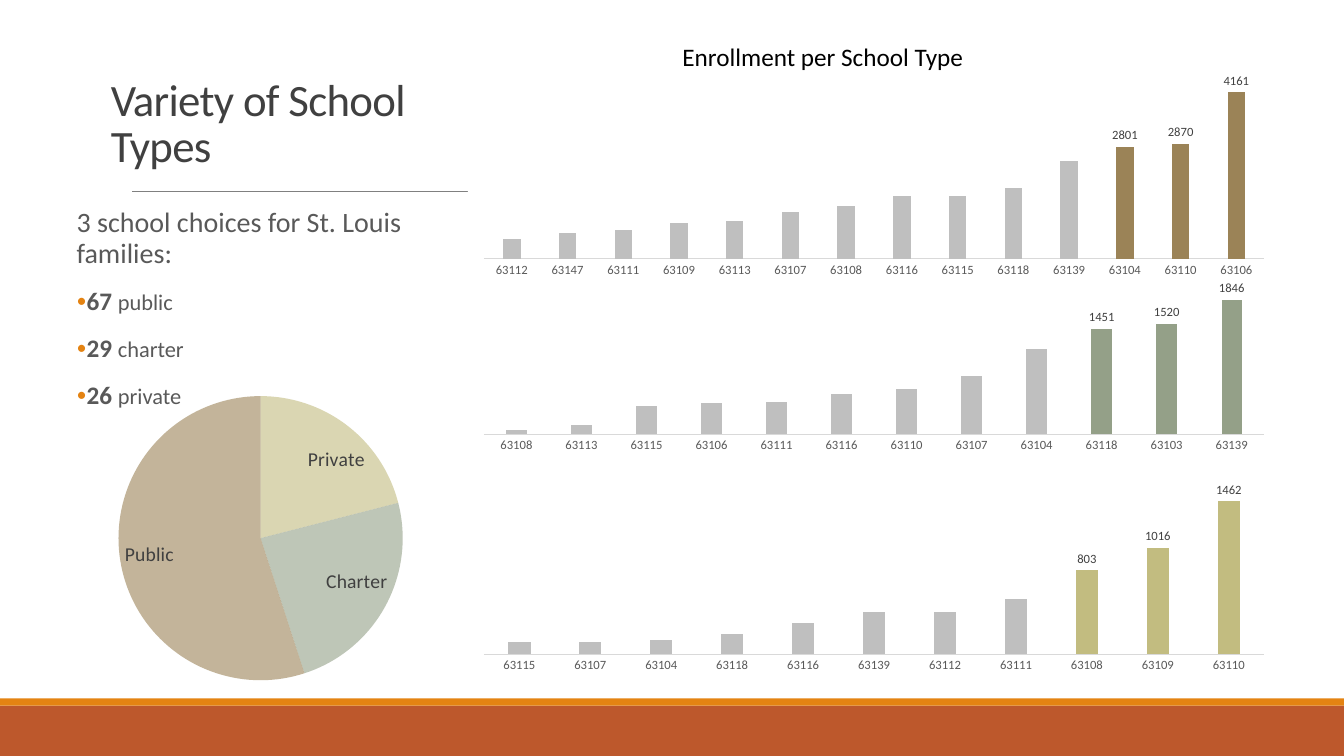
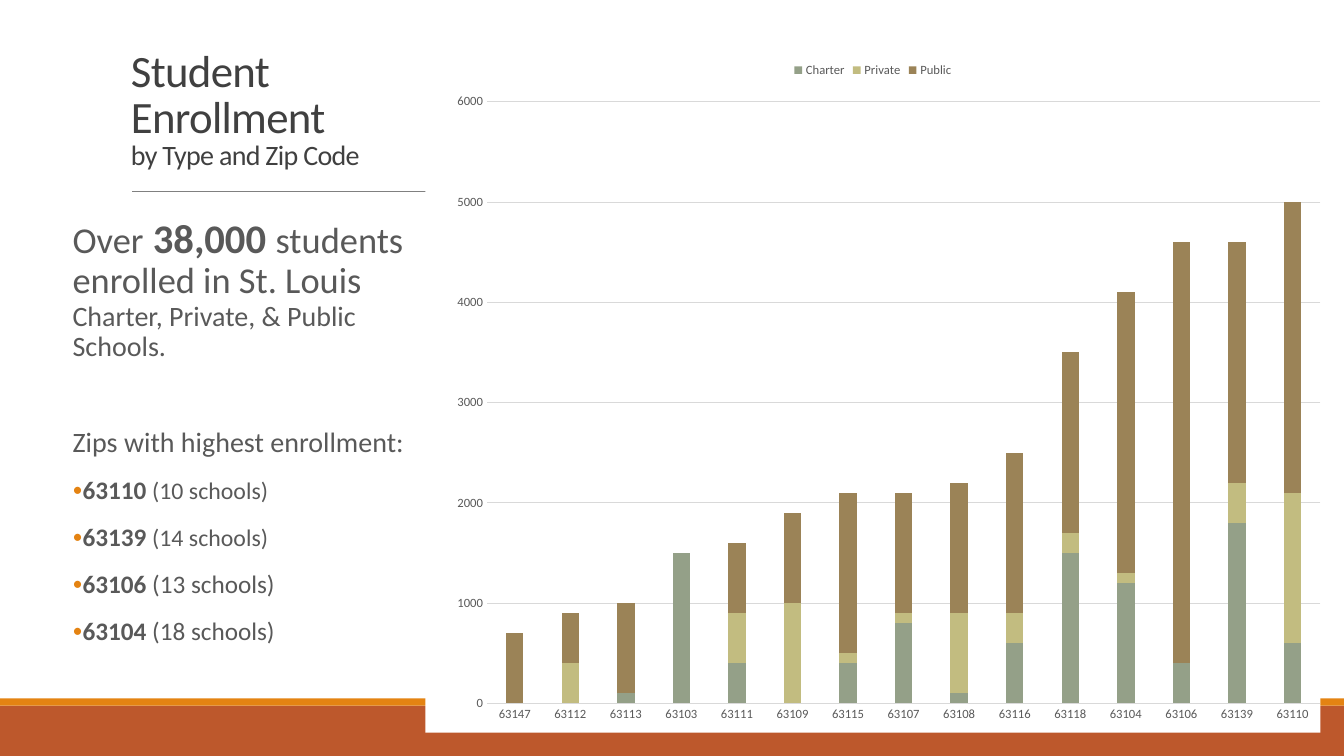
from dataclasses import dataclass
from typing import Optional

from lxml import etree
from pptx import Presentation
from pptx import util as u
from pptx.chart import data as chart_data
from pptx.dml import color
from pptx.enum import chart as ch
from pptx.enum import shapes, text
from pptx.oxml import ns

FONT = "Calibri"
RUST, ORANGE, RULE = "BD582C", "E48312", "808080"
TITLE, BODY, BLACK, WHITE = "404040", "595959", "000000", "FFFFFF"
BROWN, SAGE, KHAKI = "9B8357", "94A088", "C2BC80"
PALE, GRID = "BFBFBF", "D9D9D9"

PUBLIC = {
    "63112": 504, "63147": 653, "63111": 719, "63109": 904, "63113": 948,
    "63107": 1174, "63108": 1326, "63116": 1561, "63115": 1580, "63118": 1775,
    "63139": 2434, "63104": 2801, "63110": 2870, "63106": 4161,
}
CHARTER = {
    "63108": 61, "63113": 124, "63115": 393, "63106": 432, "63111": 438,
    "63116": 550, "63110": 621, "63107": 805, "63104": 1168, "63118": 1451,
    "63103": 1520, "63139": 1846,
}
PRIVATE = {
    "63115": 112, "63107": 117, "63104": 134, "63118": 193, "63116": 300,
    "63139": 399, "63112": 407, "63111": 531, "63108": 803, "63109": 1016,
    "63110": 1462,
}


@dataclass(frozen=True)
class Area:
    left: float
    top: float
    width: float
    height: float

    def inches(self) -> tuple:
        return tuple(u.Inches(n) for n in (self.left, self.top, self.width, self.height))


@dataclass(frozen=True)
class Span:
    words: str
    size: float
    bold: bool = False
    break_before: bool = False


@dataclass(frozen=True)
class Para:
    spans: tuple
    bullet: bool = False
    before: float = 12


@dataclass(frozen=True)
class Enrollment:
    zips: dict
    accent: str
    area: Area
    plot: Area
    top_value: int


@dataclass(frozen=True)
class SchoolType:
    name: str
    zips: dict
    color: str


ENROLLMENTS = (
    Enrollment(PUBLIC, BROWN, Area(4.64, 0.73, 8.06, 2.06), Area(0.16, 0.05, 7.74, 1.79), 4500),
    Enrollment(CHARTER, SAGE, Area(4.64, 2.79, 8.06, 1.73), Area(0.16, 0.07, 7.74, 1.45), 2000),
    Enrollment(PRIVATE, KHAKI, Area(4.64, 4.79, 8.06, 1.92), Area(0.16, 0.04, 7.74, 1.66), 1600),
)
SCHOOL_TYPES = (
    SchoolType("Charter", CHARTER, SAGE),
    SchoolType("Private", PRIVATE, KHAKI),
    SchoolType("Public", PUBLIC, BROWN),
)


def rgb(hex_code: str) -> color.RGBColor:
    return color.RGBColor.from_string(hex_code)


def paint(fill, hex_code: str) -> None:
    fill.solid()
    fill.fore_color.rgb = rgb(hex_code)


def style_font(font, size: Optional[float], hex_code: str) -> None:
    font.name = FONT
    font.color.rgb = rgb(hex_code)
    if size:
        font.size = u.Pt(size)


def add_bullet(para) -> None:
    props = para._p.get_or_add_pPr()
    props.set("marL", str(u.Inches(0.1)))
    props.set("indent", str(-u.Inches(0.1)))
    tint = etree.SubElement(props, ns.qn("a:buClr"))
    etree.SubElement(tint, ns.qn("a:srgbClr")).set("val", ORANGE)
    etree.SubElement(props, ns.qn("a:buSzPct")).set("val", "80000")
    etree.SubElement(props, ns.qn("a:buFont")).set("typeface", FONT)
    etree.SubElement(props, ns.qn("a:buChar")).set("char", "•")


def add_spans(para, spans: tuple, hex_code: str, tracking: float = 0) -> None:
    sizes = {span.size for span in spans}
    style_font(para.font, sizes.pop() if len(sizes) == 1 else None, hex_code)
    for span in spans:
        if span.break_before:
            para.add_line_break()
        run = para.add_run()
        run.text = span.words
        if sizes:
            run.font.size = u.Pt(span.size)
        if span.bold:
            run.font.bold = True
        if tracking:
            run._r.get_or_add_rPr().set("spc", str(int(tracking * 100)))


def add_text_box(page, area: Area):
    frame = page.shapes.add_textbox(*area.inches()).text_frame
    frame.word_wrap = True
    return frame


def add_title(page, area: Area, *spans: Span) -> None:
    frame = add_text_box(page, area)
    frame.vertical_anchor = text.MSO_ANCHOR.BOTTOM
    para = frame.paragraphs[0]
    para.line_spacing = 0.85
    add_spans(para, spans, TITLE, -0.5)


def add_body(page, area: Area, paras: list) -> None:
    frame = add_text_box(page, area)
    frame.margin_left = frame.margin_right = 0
    for index, item in enumerate(paras):
        para = frame.add_paragraph() if index else frame.paragraphs[0]
        para.line_spacing = 0.9
        para.space_before = u.Pt(item.before if index else 0)
        para.space_after = u.Pt(2)
        if item.bullet:
            add_bullet(para)
        add_spans(para, item.spans, BODY)


def add_band(page, area: Area, hex_code: str) -> None:
    band = page.shapes.add_shape(shapes.MSO_SHAPE.RECTANGLE, *area.inches())
    band.shadow.inherit = False
    paint(band.fill, hex_code)
    band.line.fill.background()


def add_page(deck):
    page = deck.slides.add_slide(deck.slide_layouts[6])
    add_band(page, Area(0, 7, 13.33, 0.5), RUST)
    add_band(page, Area(0, 6.93, 13.33, 0.07), ORANGE)
    rule = page.shapes.add_connector(
        shapes.MSO_CONNECTOR.STRAIGHT,
        u.Inches(1.31), u.Inches(1.9), u.Inches(12.21), u.Inches(1.9),
    )
    rule.line.color.rgb = rgb(RULE)
    rule.line.width = u.Pt(0.5)
    etree.SubElement(rule._element.spPr, ns.qn("a:effectLst"))
    return page


def add_chart(page, kind, area: Area, plot: Area, zips: list, series: dict):
    data = chart_data.CategoryChartData()
    data.categories = zips
    for name, values in series.items():
        data.add_series(name, values)
    chart = page.shapes.add_chart(kind, *area.inches(), data).chart
    chart.has_title = False
    chart.has_legend = False
    style_font(chart.font, 10, BLACK)
    place_plot(chart, area, plot)
    return chart


def place_plot(chart, area: Area, plot: Area) -> None:
    plot_area = chart._chartSpace.chart.plotArea
    for old in plot_area.findall(ns.qn("c:layout")):
        plot_area.remove(old)
    layout = etree.Element(ns.qn("c:layout"))
    manual = etree.SubElement(layout, ns.qn("c:manualLayout"))
    settings = (
        ("layoutTarget", "inner"), ("xMode", "edge"), ("yMode", "edge"),
        ("x", plot.left / area.width), ("y", plot.top / area.height),
        ("w", plot.width / area.width), ("h", plot.height / area.height),
    )
    for tag, value in settings:
        etree.SubElement(manual, ns.qn(f"c:{tag}")).set("val", str(value))
    plot_area.insert(0, layout)


def fill_chart(chart, hex_code: str) -> None:
    props = etree.Element(ns.qn("c:spPr"))
    solid = etree.SubElement(props, ns.qn("a:solidFill"))
    etree.SubElement(solid, ns.qn("a:srgbClr")).set("val", hex_code)
    line = etree.SubElement(props, ns.qn("a:ln"))
    etree.SubElement(line, ns.qn("a:noFill"))
    chart._chartSpace.find(ns.qn("c:txPr")).addprevious(props)


def style_columns(chart, overlap: int, top_value: int) -> None:
    bars = chart.plots[0]
    bars.vary_by_categories = False
    bars.gap_width = 219
    bars.overlap = overlap
    axis = chart.category_axis
    axis.major_tick_mark = ch.XL_TICK_MARK.NONE
    style_font(axis.tick_labels.font, 9, BODY)
    axis.format.line.color.rgb = rgb(GRID)
    axis.format.line.width = u.Pt(0.75)
    chart.value_axis.minimum_scale = 0
    chart.value_axis.maximum_scale = top_value


def add_enrollment_chart(page, item: Enrollment) -> None:
    zips = list(item.zips)
    chart = add_chart(page, ch.XL_CHART_TYPE.COLUMN_CLUSTERED, item.area, item.plot,
                      zips, {"Series 1": list(item.zips.values())})
    fill_chart(chart, WHITE)
    style_columns(chart, -27, item.top_value)
    chart.value_axis.visible = False
    chart.value_axis.has_major_gridlines = False
    series = chart.plots[0].series[0]
    paint(series.format.fill, PALE)
    for index in range(len(zips) - 3, len(zips)):
        point = series.points[index]
        paint(point.format.fill, item.accent)
        style_font(point.data_label.font, 9, TITLE)
        point.data_label.position = ch.XL_LABEL_POSITION.OUTSIDE_END


def add_share_pie(page) -> None:
    shares = {"Private": (21, KHAKI), "Charter": (24, SAGE), "Public": (55, BROWN)}
    chart = add_chart(page, ch.XL_CHART_TYPE.PIE, Area(0.44, 3.66, 4.79, 3.38),
                      Area(0.73, 0.27, 2.83, 2.82), list(shares),
                      {"Series 1": [share for share, _ in shares.values()]})
    pie = chart.plots[0]
    for index, (_, hex_code) in enumerate(shares.values()):
        slice_format = pie.series[0].points[index].format
        paint(slice_format.fill, hex_code)
        slice_format.line.fill.background()
    for tint in pie.series[0]._element.iter(ns.qn("a:srgbClr")):
        etree.SubElement(tint, ns.qn("a:alpha")).set("val", "60000")
    pie.has_data_labels = True
    labels = pie.data_labels
    style_font(labels.font, 14, TITLE)
    labels.show_category_name = True
    labels.show_value = labels.show_percentage = False
    labels.position = ch.XL_LABEL_POSITION.BEST_FIT


def add_stacked_chart(page) -> None:
    zips = sorted(
        {code for kind in SCHOOL_TYPES for code in kind.zips},
        key=lambda code: sum(kind.zips.get(code, 0) for kind in SCHOOL_TYPES),
    )
    series = {
        kind.name: [round(kind.zips[code], -2) if code in kind.zips else None for code in zips]
        for kind in SCHOOL_TYPES
    }
    chart = add_chart(page, ch.XL_CHART_TYPE.COLUMN_STACKED, Area(4.22, 0.51, 8.88, 6.76),
                      Area(0.61, 0.5, 8.27, 5.97), zips, series)
    fill_chart(chart, WHITE)
    style_columns(chart, 100, 6000)
    axis = chart.value_axis
    axis.major_unit = 1000
    axis.major_tick_mark = ch.XL_TICK_MARK.NONE
    axis.format.line.fill.background()
    style_font(axis.tick_labels.font, 9, BODY)
    axis.major_gridlines.format.line.color.rgb = rgb(GRID)
    axis.major_gridlines.format.line.width = u.Pt(0.75)
    for kind, bars in zip(SCHOOL_TYPES, chart.plots[0].series):
        paint(bars.format.fill, kind.color)
    chart.has_legend = True
    chart.legend.position = ch.XL_LEGEND_POSITION.TOP
    chart.legend.include_in_layout = False
    style_font(chart.legend.font, 9, BODY)


def build_school_types(deck) -> None:
    page = add_page(deck)
    add_title(page, Area(1, 0.23, 3.21, 1.52), Span("Variety of School Types", 32))
    counts = (("67 ", "public"), ("29 ", "charter"), ("26 ", "private"))
    add_body(page, Area(0.76, 2.02, 3.76, 2.29), [
        Para((Span("3 school choices for St. Louis families:", 20),)),
        *(Para((Span(count, 18, True), Span(kind, 16)), True) for count, kind in counts),
    ])
    add_share_pie(page)
    for item in ENROLLMENTS:
        add_enrollment_chart(page, item)
    heading = add_text_box(page, Area(6.67, 0.36, 3.21, 0.4))
    add_spans(heading.paragraphs[0], (Span("Enrollment per School Type", 18),), BLACK)


def build_student_enrollment(deck) -> None:
    page = add_page(deck)
    add_title(page, Area(1.2, 0.23, 3.02, 1.52), Span("Student Enrollment", 32),
              Span("by Type and Zip Code", 20, break_before=True))
    highest = (("63110 ", 10, 17), ("63139 ", 14, 17), ("63106 ", 13, 18), ("63104 ", 18, 18))
    add_body(page, Area(0.72, 2.12, 3.3, 4.69), [
        Para((Span("Over", 26), Span(" ", 29), Span("38,000 ", 29, True),
              Span("students enrolled in St. Louis ", 26),
              Span("Charter, Private, & Public Schools.", 20))),
        Para((Span("Zips with highest enrollment:", 20),), before=45),
        *(Para((Span(code, 18, True), Span(f"({count} schools)", size)), True)
          for code, count, size in highest),
    ])
    add_stacked_chart(page)


def main() -> None:
    deck = Presentation()
    deck.slide_width, deck.slide_height = u.Inches(13.33), u.Inches(7.5)
    build_school_types(deck)
    build_student_enrollment(deck)
    deck.save("out.pptx")


if __name__ == "__main__":
    main()
